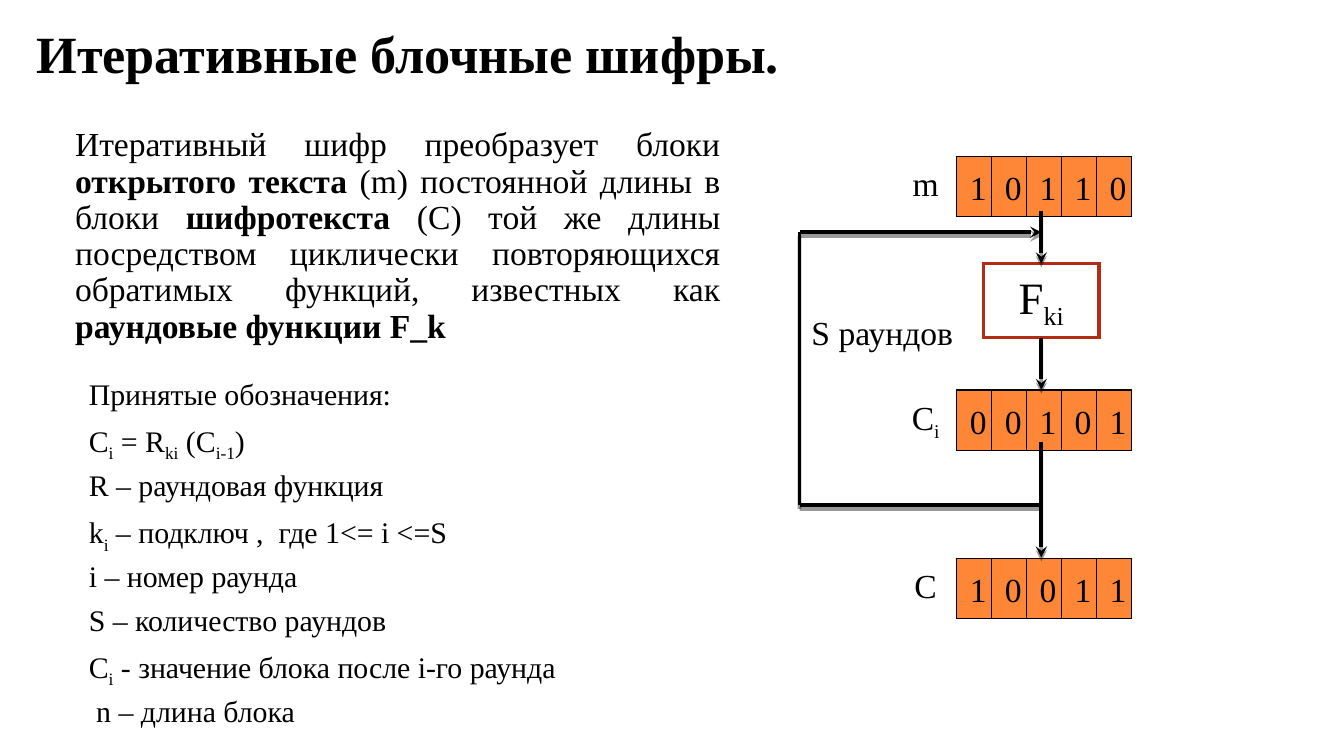
"""Build a slide on iterative block ciphers."""
import dataclasses
import typing

import lxml.etree
import pptx
import pptx.dml.color
import pptx.enum.shapes
import pptx.enum.text
import pptx.oxml.ns
import pptx.util

Cm, Pt = pptx.util.Cm, pptx.util.Pt
Align, Anchor = pptx.enum.text.PP_ALIGN, pptx.enum.text.MSO_ANCHOR
qn, sub = pptx.oxml.ns.qn, lxml.etree.SubElement


@dataclasses.dataclass(frozen=True)
class Theme:
    """Hold colours, font and type sizes."""
    ink: str = "000000"
    paper: str = "FFFFFF"
    cell: str = "FE8637"
    edge: str = "B32C16"
    font: str = "Times New Roman"
    title: int = 28
    key: int = 24
    body: int = 18
    note: int = 16
    line: int = 2
    rule: float = 0.75


class Label(typing.NamedTuple):
    """Describe a text box; stars mark bold and tildes mark subscript."""
    left: float
    top: float
    width: float
    height: float
    lines: tuple[str, ...]
    size: int
    align: Align = Align.LEFT
    pitch: float = 1.0
    anchor: Anchor = Anchor.TOP


class Block(typing.NamedTuple):
    """Describe a named row of bits."""
    top: float
    bits: str
    name: str


class Wire(typing.NamedTuple):
    """Describe a line, with or without an arrowhead."""
    x1: float
    y1: float
    x2: float
    y2: float
    head: bool = True


THEME = Theme()
AXIS, LOOP, ENTRY, LEAVE = 19.68, 15.11, 4.39, 9.55
BLOCKS = (Block(2.96, "10110", "m"), Block(7.37, "00101", "C~i~"),
          Block(10.55, "10011", "C"))
WIRES = (
    Wire(AXIS, 3.98, AXIS, 4.98),
    Wire(AXIS, 6.38, AXIS, 7.37),
    Wire(AXIS, LEAVE, LOOP, LEAVE, False),
    Wire(LOOP, LEAVE, LOOP, ENTRY, False),
    Wire(LOOP, ENTRY, AXIS, ENTRY),
    Wire(AXIS, 8.35, AXIS, 10.54),
)
LABELS = (
    Label(0.44, 0.25, 23.88, 1.5, ("*Итеративные блочные шифры.*",),
          THEME.title, anchor=Anchor.MIDDLE),
    Label(14.92, 5.78, 3.51, 1.02, ("S раундов",), THEME.body, Align.CENTER),
    Label(1.17, 2.29, 12.7, 4.42, (
        "Итеративный шифр преобразует блоки *открытого текста *(m) постоянной "
        "длины в блоки *шифротекста* (C) той же длины посредством циклически "
        "повторяющихся обратимых функций, известных как *раундовые функции F_k*",
    ), THEME.body, Align.JUSTIFY, 0.9),
    Label(1.43, 7.05, 12.7, 6.68, (
        "Принятые обозначения:",
        "C~i~ = R~ki~ (C~i-1~)",
        "R – раундовая функция",
        "k~i~ – подключ ,  где 1<= i <=S",
        "i – номер раунда",
        "S – количество раундов",
        "C~i~ - значение блока после i-го раунда",
        " n – длина блока",
    ), THEME.note, pitch=0.9),
)


def paint(fill: typing.Any, hue: str) -> None:
    """Set a solid fill."""
    fill.solid()
    fill.fore_color.rgb = pptx.dml.color.RGBColor.from_string(hue)


def write(para: typing.Any, text: str, size: int) -> None:
    """Fill a paragraph with marked text."""
    para.font.name, para.font.size = THEME.font, Pt(size)
    paint(para.font.fill, THEME.ink)
    for turn, part in enumerate(text.split("*")):
        for step, piece in enumerate(part.split("~")):
            if piece:
                run = para.add_run()
                run.text = piece
                if turn % 2:
                    run.font.bold = True
                if step % 2:
                    run.font._element.set("baseline", "-25000")


def add_label(shapes: typing.Any, label: Label) -> None:
    """Draw a text box."""
    frame = shapes.add_textbox(*map(Cm, label[:4])).text_frame
    frame.word_wrap = True
    frame.vertical_anchor = label.anchor
    for rank, text in enumerate(label.lines):
        para = frame.add_paragraph() if rank else frame.paragraphs[0]
        para.alignment, para.line_spacing = label.align, label.pitch
        para.space_before = Pt(6 if rank else 0)
        write(para, text, label.size)


def add_block(shapes: typing.Any, block: Block) -> None:
    """Draw a row of bits as a table, with its name on the left."""
    frame = shapes.add_table(1, len(block.bits), Cm(18.08), Cm(block.top),
                             Cm(3.3), Cm(1.14))
    frame.width = frame.height = Cm(8.33)
    table = frame.table
    table.first_row = table.horz_banding = False
    for bit, cell in zip(block.bits, table.iter_cells()):
        cell.margin_left = cell.margin_right = Cm(0.25)
        cell.margin_top, cell.margin_bottom = Cm(0.38), Cm(0.13)
        paint(cell.fill, THEME.cell)
        para = cell.text_frame.paragraphs[0]
        para.line_spacing = 0.81
        write(para, bit, THEME.body)
    for props in frame.element.iter(qn("a:tcPr")):
        for rank, side in enumerate("LRTB"):
            edge = lxml.etree.Element(qn(f"a:ln{side}"), w=str(Pt(THEME.rule)))
            sub(sub(edge, qn("a:solidFill")), qn("a:srgbClr"), val=THEME.ink)
            props.insert(rank, edge)
    add_label(shapes, Label(16.9, block.top, 1.19, 1.02, (block.name,),
                            THEME.body, Align.CENTER))


def add_wire(shapes: typing.Any, wire: Wire) -> None:
    """Draw a line with a shadow below it."""
    link = shapes.add_connector(pptx.enum.shapes.MSO_CONNECTOR.STRAIGHT,
                                *map(Cm, wire[:4]))
    link.line.width = Pt(THEME.line)
    paint(link.line.fill, THEME.ink)
    props = link.element.spPr
    if wire.head:
        sub(props.find(qn("a:ln")), qn("a:tailEnd"), type="stealth")
    shade = sub(sub(props, qn("a:effectLst")), qn("a:outerShdw"), blurRad="0",
                dist=str(Pt(2)), dir="5400000", rotWithShape="0")
    hue = sub(shade, qn("a:srgbClr"), val=THEME.ink)
    sub(hue, qn("a:alpha"), val="40000")


def add_round(shapes: typing.Any) -> None:
    """Draw the box of the round function."""
    box = shapes.add_shape(pptx.enum.shapes.MSO_SHAPE.RECTANGLE,
                           Cm(18.59), Cm(4.98), Cm(2.18), Cm(1.4))
    box.shadow.inherit = False
    paint(box.fill, THEME.paper)
    paint(box.line.fill, THEME.edge)
    box.line.width = Pt(THEME.line)
    sub(box.element.spPr.find(qn("a:ln")), qn("a:miter"), lim="800000")
    box.text_frame.vertical_anchor = Anchor.MIDDLE
    para = box.text_frame.paragraphs[0]
    para.alignment = Align.CENTER
    write(para, "F~ki~", THEME.key)


def main() -> None:
    """Build and save the slide."""
    deck = pptx.Presentation()
    deck.slide_width, deck.slide_height = Cm(25.4), Cm(14.29)
    shapes = deck.slides.add_slide(deck.slide_layouts[6]).shapes
    for block in BLOCKS:
        add_block(shapes, block)
    add_round(shapes)
    for wire in WIRES:
        add_wire(shapes, wire)
    for label in LABELS:
        add_label(shapes, label)
    deck.save("out.pptx")


if __name__ == "__main__":
    main()
